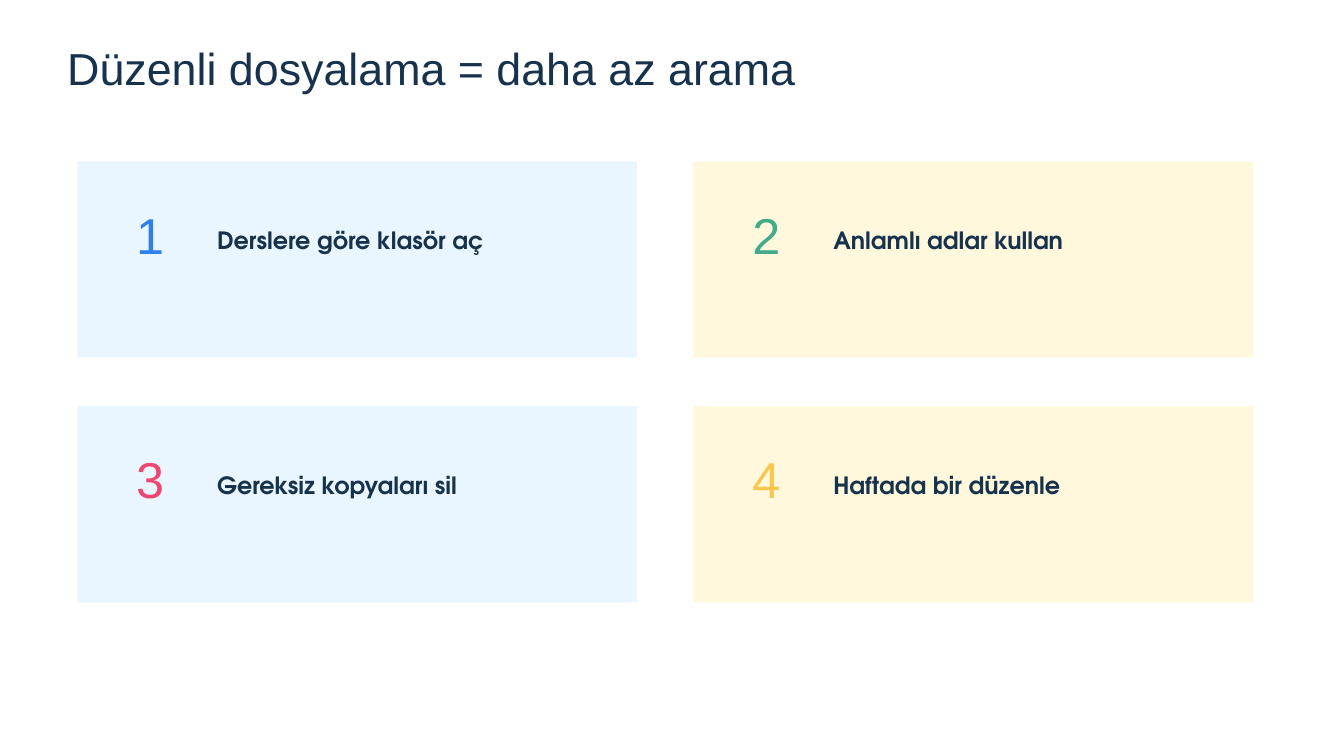
import pptx
import pptx.dml.color
import pptx.enum.shapes
import pptx.enum.text
import pptx.util

Inches, Pt = pptx.util.Inches, pptx.util.Pt
ALIGN = pptx.enum.text.PP_ALIGN
NAVY = "17324D"

# Card grid, in inches
LEFT, TOP = 1.15, 2.4
CARD_W, CARD_H = 8.33, 2.92
COL_STEP, ROW_STEP = 9.17, 3.645

CARDS = [
    ("Derslere göre klasör aç", "2F80ED"),
    ("Anlamlı adlar kullan", "43AA8B"),
    ("Gereksiz kopyaları sil", "EF476F"),
    ("Haftada bir düzenle", "F9C74F"),
]
COLUMN_FILLS = ["EAF6FF", "FFF8DC"]


def rgb(value):
    return pptx.dml.color.RGBColor.from_string(value)


def add_text(shapes, text, x, y, w, h, size, spacing, color,
             font="Arial", bold=False, align=ALIGN.LEFT):
    """Add a one-line text box without margins; spacing is the line height in points."""
    tf = shapes.add_textbox(Inches(x), Inches(y), Inches(w), Inches(h)).text_frame
    tf.word_wrap = True
    tf.auto_size = pptx.enum.text.MSO_AUTO_SIZE.SHAPE_TO_FIT_TEXT
    tf.margin_left = tf.margin_right = tf.margin_top = tf.margin_bottom = 0
    p = tf.paragraphs[0]
    p.text = text
    p.alignment = align
    p.line_spacing = Pt(spacing)
    p.font.name, p.font.size, p.font.bold = font, Pt(size), bold
    p.font.color.rgb = rgb(color)


prs = pptx.Presentation()
prs.slide_width, prs.slide_height = Inches(20), Inches(11.25)
s = prs.slides.add_slide(prs.slide_layouts[6])
s.background.fill.solid()
s.background.fill.fore_color.rgb = rgb("FFFFFF")

add_text(s.shapes, "Düzenli dosyalama = daha az arama", 1, 0.71, 15.62, 0.71, 48, 50.4, NAVY)

for i, (label, accent) in enumerate(CARDS):
    row, col = divmod(i, 2)
    x, y = LEFT + col * COL_STEP, TOP + row * ROW_STEP
    card = s.shapes.add_group_shape()
    sp = card.shapes.add_shape(pptx.enum.shapes.MSO_SHAPE.RECTANGLE,
                               Inches(x), Inches(y), Inches(CARD_W), Inches(CARD_H))
    sp.shadow.inherit = False
    sp.fill.solid()
    sp.fill.fore_color.rgb = rgb(COLUMN_FILLS[col])
    sp.line.fill.background()
    add_text(card.shapes, str(i + 1), x + 0.41, y + 0.48, 1.35, 0.98, 54, 75.6, accent,
             align=ALIGN.CENTER)
    add_text(card.shapes, label, x + 2.08, y + 0.89, 5.62, 0.46, 25.5, 35.7, NAVY,
             font="TeX Gyre Adventor", bold=True)

prs.save("out.pptx")
